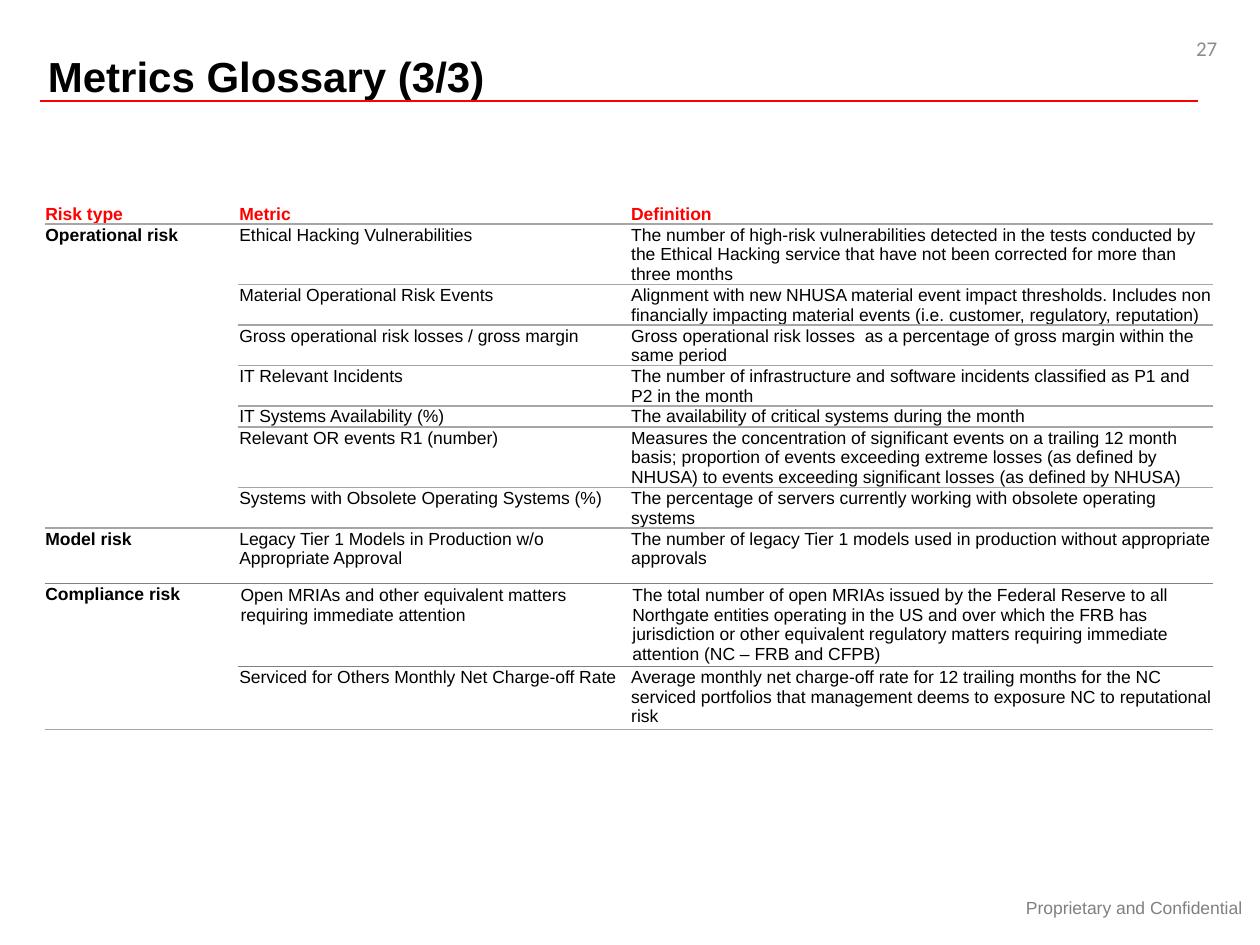
import pptx
import pptx.dml.color
import pptx.enum.shapes
import pptx.enum.text
import pptx.oxml
import pptx.oxml.ns
import pptx.util

Inches = pptx.util.Inches
Pt = pptx.util.Pt
RGBColor = pptx.dml.color.RGBColor
Align = pptx.enum.text.PP_ALIGN
Anchor = pptx.enum.text.MSO_ANCHOR

RED = RGBColor(0xFF, 0x00, 0x00)
BLACK = RGBColor(0x00, 0x00, 0x00)
GRAY = RGBColor(0x80, 0x80, 0x80)
LIGHT_GRAY = RGBColor(0xA6, 0xA6, 0xA6)
PAGE_GRAY = RGBColor(0x8C, 0x8C, 0x8C)

HEADERS = ("Risk type", "Metric", "Definition")
GLOSSARY = [
    ("Operational risk", [
        ("Ethical Hacking Vulnerabilities",
         "The number of high-risk vulnerabilities detected in the tests conducted by the Ethical "
         "Hacking service that have not been corrected for more than three months"),
        ("Material Operational Risk Events",
         "Alignment with new NHUSA material event impact thresholds. Includes non financially "
         "impacting material events (i.e. customer, regulatory, reputation)"),
        ("Gross operational risk losses / gross margin",
         "Gross operational risk losses  as a percentage of gross margin within the same period"),
        ("IT Relevant Incidents",
         "The number of infrastructure and software incidents classified as P1 and P2 in the month"),
        ("IT Systems Availability (%)",
         "The availability of critical systems during the month"),
        ("Relevant OR events R1 (number)",
         "Measures the concentration of significant events on a trailing 12 month basis; proportion "
         "of events exceeding extreme losses (as defined by NHUSA) to events exceeding significant "
         "losses (as defined by NHUSA)"),
        ("Systems with Obsolete Operating Systems (%)",
         "The percentage of servers currently working with obsolete operating systems"),
    ]),
    ("Model risk", [
        ("Legacy Tier 1 Models in Production w/o\nAppropriate Approval",
         "The number of legacy Tier 1 models used in production without appropriate approvals"),
    ]),
    ("Compliance risk", [
        ("Open MRIAs and other equivalent matters requiring immediate attention",
         "The total number of open MRIAs issued by the Federal Reserve to all Northgate entities "
         "operating in the US and over which the FRB has jurisdiction or other equivalent regulatory "
         "matters requiring immediate attention (NC – FRB and CFPB)"),
        ("Serviced for Others Monthly Net Charge-off Rate",
         "Average monthly net charge-off rate for 12 trailing months for the NC serviced portfolios "
         "that management deems to exposure NC to reputational risk"),
    ]),
]
COLUMN_WIDTHS = (1.53, 3.11, 4.63)
ROW_HEIGHTS = (0.17, 0.48, 0.32, 0.32, 0.32, 0.17, 0.48, 0.32, 0.44, 0.66, 0.5)
MODEL_ROW = 8
OPEN_MRIA_ROW = 9


def format_paragraph(paragraph, size, color, bold=False, name="Arial", alignment=Align.LEFT):
    paragraph.alignment = alignment
    font = paragraph.font
    font.name = name
    font.size = Pt(size)
    font.bold = bold
    font.color.rgb = color


def add_title(slide, text):
    title = slide.shapes.title
    title.left, title.top = Inches(0.28), Inches(0.36)
    title.width, title.height = Inches(9.02), Inches(0.48)
    frame = title.text_frame
    frame.text = text
    frame.auto_size = pptx.enum.text.MSO_AUTO_SIZE.NONE
    frame.vertical_anchor = Anchor.BOTTOM
    frame.margin_bottom = Inches(0.03)
    frame.paragraphs[0].line_spacing = 0.9
    format_paragraph(frame.paragraphs[0], 24, BLACK, bold=True)


def add_title_rule(slide):
    rule = slide.shapes.add_connector(
        pptx.enum.shapes.MSO_CONNECTOR.STRAIGHT,
        Inches(0.32), Inches(0.8), Inches(9.51), Inches(0.8))
    rule.line.color.rgb = RED
    rule.line.width = Pt(1)
    properties = rule._element.spPr
    properties.append(properties.makeelement(pptx.oxml.ns.qn("a:effectLst"), {}))


def add_label(slide, text, left, top, width, height, size, color, name, alignment):
    box = slide.shapes.add_textbox(Inches(left), Inches(top), Inches(width), Inches(height))
    frame = box.text_frame
    frame.word_wrap = True
    frame.vertical_anchor = Anchor.MIDDLE
    frame.text = text
    format_paragraph(frame.paragraphs[0], size, color, name=name, alignment=alignment)


def set_borders(cell, top=None, bottom=None):
    properties = cell._tc.get_or_add_tcPr()
    sides = (("lnL", None), ("lnR", None), ("lnT", top), ("lnB", bottom))
    for index, (side, color) in enumerate(sides):
        fill = f'<a:solidFill><a:srgbClr val="{color}"/></a:solidFill>' if color else "<a:noFill/>"
        border = pptx.oxml.parse_xml(
            f'<a:{side} {pptx.oxml.ns.nsdecls("a")} w="12700">{fill}</a:{side}>')
        properties.insert(index, border)


def rule_below(row):
    return GRAY if row in (MODEL_ROW, OPEN_MRIA_ROW) else LIGHT_GRAY


def fill_cell(table, row, column, text, color=BLACK, bold=False, last_row=None):
    cell = table.cell(row, column)
    cell.text = text
    cell.fill.background()
    inset = 0.02 if row == OPEN_MRIA_ROW and column else 0.01
    cell.margin_left = Inches(inset if column else 0)
    cell.margin_right = cell.margin_top = Inches(inset)
    cell.margin_bottom = 0
    cell.vertical_anchor = Anchor.TOP if row else Anchor.MIDDLE
    for paragraph in cell.text_frame.paragraphs:
        format_paragraph(paragraph, 10, color, bold)
    top = rule_below(row - 1) if row else None
    set_borders(cell, top, rule_below(last_row or row))


def add_glossary(slide):
    frame = slide.shapes.add_table(
        len(ROW_HEIGHTS), len(COLUMN_WIDTHS), Inches(0.36), Inches(1.61),
        Inches(sum(COLUMN_WIDTHS)), Inches(sum(ROW_HEIGHTS)))
    table = frame.table
    table.first_row = False
    table.horz_banding = False
    for column, width in zip(table.columns, COLUMN_WIDTHS):
        column.width = Inches(width)
    for table_row, height in zip(table.rows, ROW_HEIGHTS):
        table_row.height = Inches(height)
    for column, header in enumerate(HEADERS):
        fill_cell(table, 0, column, header, RED, bold=True)

    row = 1
    for risk_type, metrics in GLOSSARY:
        last_row = row + len(metrics) - 1
        if last_row > row:
            table.cell(row, 0).merge(table.cell(last_row, 0))
            for covered_row in range(row + 1, last_row + 1):
                covered = table.cell(covered_row, 0)
                covered.fill.background()
                set_borders(covered, bottom=LIGHT_GRAY if covered_row == last_row else None)
        fill_cell(table, row, 0, risk_type, bold=True, last_row=last_row)
        for metric, definition in metrics:
            fill_cell(table, row, 1, metric)
            fill_cell(table, row, 2, definition)
            row += 1


def main():
    presentation = pptx.Presentation()
    presentation.slide_width = Inches(10)
    presentation.slide_height = Inches(7.5)
    slide = presentation.slides.add_slide(presentation.slide_layouts[5])
    add_title_rule(slide)
    add_title(slide, "Metrics Glossary (3/3)")
    add_glossary(slide)
    add_label(slide, "Proprietary and Confidential", 7.31, 7, 3.38, 0.4,
              10, GRAY, "Arial", Align.CENTER)
    add_label(slide, "27", 7.51, 0.18, 2.25, 0.4, 12, PAGE_GRAY, "Calibri", Align.RIGHT)
    presentation.save("out.pptx")


if __name__ == "__main__":
    main()
